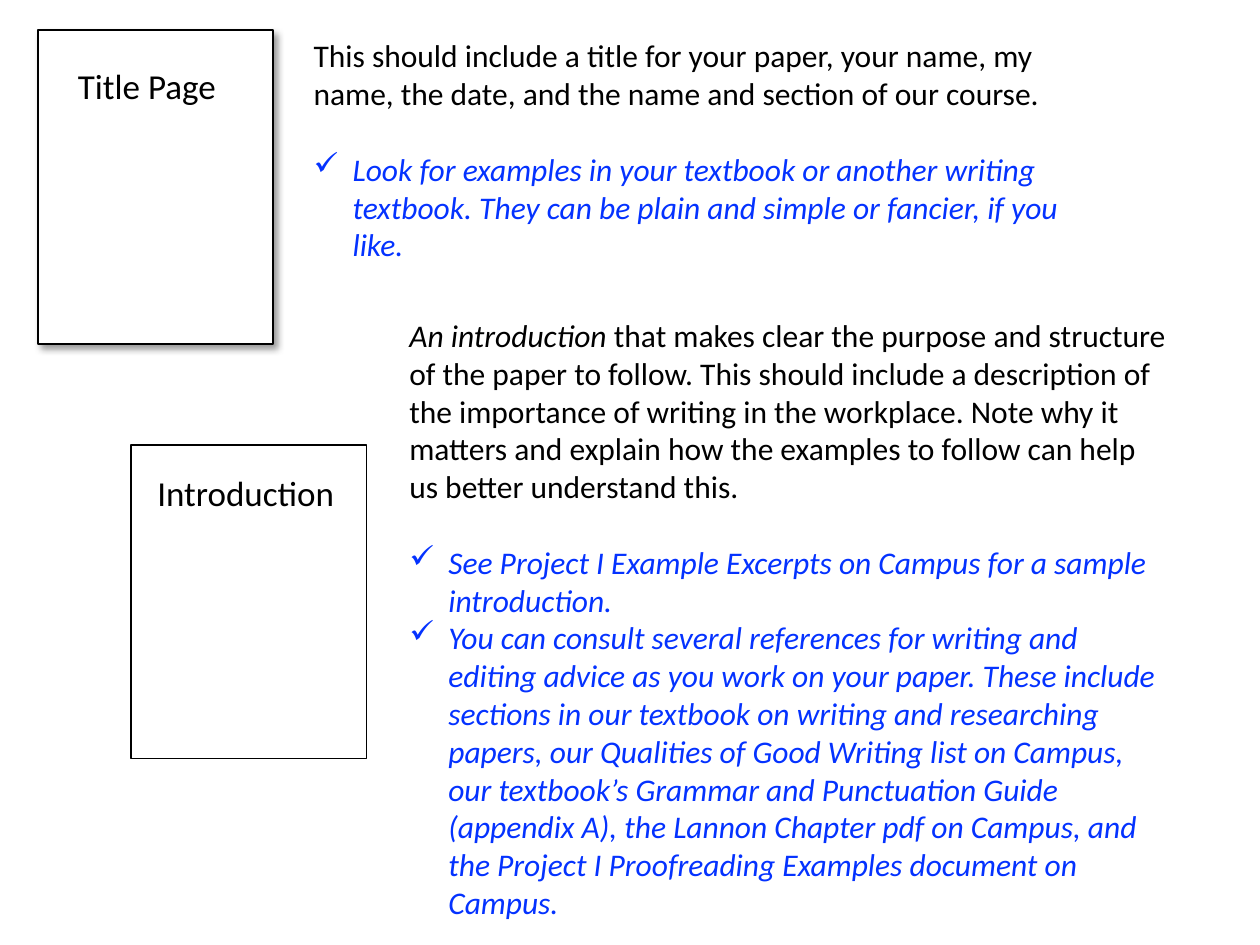
"""Build a slide describing the title page and introduction of a paper."""
from dataclasses import dataclass

from lxml import etree
from pptx import Presentation
from pptx import util as u
from pptx.dml.color import RGBColor
from pptx.enum import shapes, text
from pptx.oxml.ns import qn


@dataclass(frozen=True)
class Theme:
    font: str = "Calibri"
    label_size: float = 20
    body_size: float = 18
    paragraph_gap: float = 21.6
    indent: float = 0.31
    ink: str = "000000"
    tip: str = "0432FF"
    paper: str = "FFFFFF"


THEME = Theme()
SHEET_SIZE = (1.87, 2.49)

SHEETS = [
    {"label": "Title Page", "at": (0.3, 0.24), "label_box": (0.52, 0.46, 1.3, 0.44), "shadow": True},
    {"label": "Introduction", "at": (1.04, 3.53), "label_box": (1.15, 3.69, 1.64, 0.44), "shadow": False},
]

NOTES = [
    {
        "box": (3.15, 2.46, 6.25, 4.64),
        "lead": [
            ("An introduction", True),
            (" that makes clear the purpose and structure of the paper to follow. "
             "This should include a description of the importance of writing in the workplace. "
             "Note why it matters and explain how the examples to follow can help us better "
             "understand this.", False),
        ],
        "tips": [
            "See Project I Example Excerpts on Campus for a sample introduction.",
            "You can consult several references for writing and editing advice as you work on "
            "your paper. These include sections in our textbook on writing and researching papers, "
            "our Qualities of Good Writing list on Campus, our textbook’s Grammar and Punctuation "
            "Guide (appendix A), the Lannon Chapter pdf on Campus, and the Project I Proofreading "
            "Examples document on Campus.",
        ],
    },
    {
        "box": (2.39, 0.24, 6.25, 1.92),
        "lead": [
            ("This should include a title for your paper, your name, my name, the date, "
             "and the name and section of our course.", False),
        ],
        "tips": [
            "Look for examples in your textbook or another writing textbook. "
            "They can be plain and simple or fancier, if you like.",
        ],
    },
]


def inches(values):
    return [u.Inches(value) for value in values]


def set_font(paragraph, size, color):
    paragraph.font.name = THEME.font
    paragraph.font.size = u.Pt(size)
    paragraph.font.color.rgb = RGBColor.from_string(color)


def fit_frame(shape):
    frame = shape.text_frame
    frame.word_wrap = True
    frame.auto_size = text.MSO_AUTO_SIZE.SHAPE_TO_FIT_TEXT
    frame.vertical_anchor = text.MSO_ANCHOR.TOP
    return frame


def add_rectangle(group, box):
    shape = group.shapes.add_shape(shapes.MSO_SHAPE.RECTANGLE, *inches(box))
    shape.shadow.inherit = False
    shape.fill.solid()
    shape.fill.fore_color.rgb = RGBColor.from_string(THEME.paper)
    return shape


def cast_shadow(shape):
    effects = shape._element.spPr.find(qn("a:effectLst"))
    shadow = etree.SubElement(effects, qn("a:outerShdw"), blurRad=str(u.Pt(4)),
                              dist=str(u.Pt(3)), dir=str(45 * 60000),
                              algn="tl", rotWithShape="0")
    color = etree.SubElement(shadow, qn("a:srgbClr"), val=THEME.ink)
    etree.SubElement(color, qn("a:alpha"), val="40000")


def add_sheet(page, sheet):
    group = page.shapes.add_group_shape()
    outline = add_rectangle(group, sheet["at"] + SHEET_SIZE)
    outline.line.color.rgb = RGBColor.from_string(THEME.ink)
    outline.line.width = u.Pt(1)
    if sheet["shadow"]:
        cast_shadow(outline)
    label = add_rectangle(group, sheet["label_box"])
    label.line.fill.background()
    paragraph = fit_frame(label).paragraphs[0]
    paragraph.text = sheet["label"]
    paragraph.alignment = text.PP_ALIGN.LEFT
    set_font(paragraph, THEME.label_size, THEME.ink)


def add_check(paragraph):
    properties = paragraph._p.get_or_add_pPr()
    indent = u.Inches(THEME.indent)
    properties.set("marL", str(indent))
    properties.set("indent", str(-indent))
    etree.SubElement(properties, qn("a:buChar"), char="✓")


def add_note(page, note):
    frame = fit_frame(page.shapes.add_textbox(*inches(note["box"])))
    lead = frame.paragraphs[0]
    for words, italic in note["lead"]:
        span = lead.add_run()
        span.text = words
        span.font.italic = italic
    set_font(lead, THEME.body_size, THEME.ink)
    for index, words in enumerate(note["tips"]):
        tip = frame.add_paragraph()
        tip.text = words
        add_check(tip)
        if index == 0:
            tip.space_before = u.Pt(THEME.paragraph_gap)
        set_font(tip, THEME.body_size, THEME.tip)
        tip.font.italic = True


def main():
    deck = Presentation()
    deck.slide_width, deck.slide_height = inches((10, 7.5))
    page = deck.slides.add_slide(deck.slide_layouts[6])
    for sheet in SHEETS:
        add_sheet(page, sheet)
    for note in NOTES:
        add_note(page, note)
    deck.save("out.pptx")


if __name__ == "__main__":
    main()
